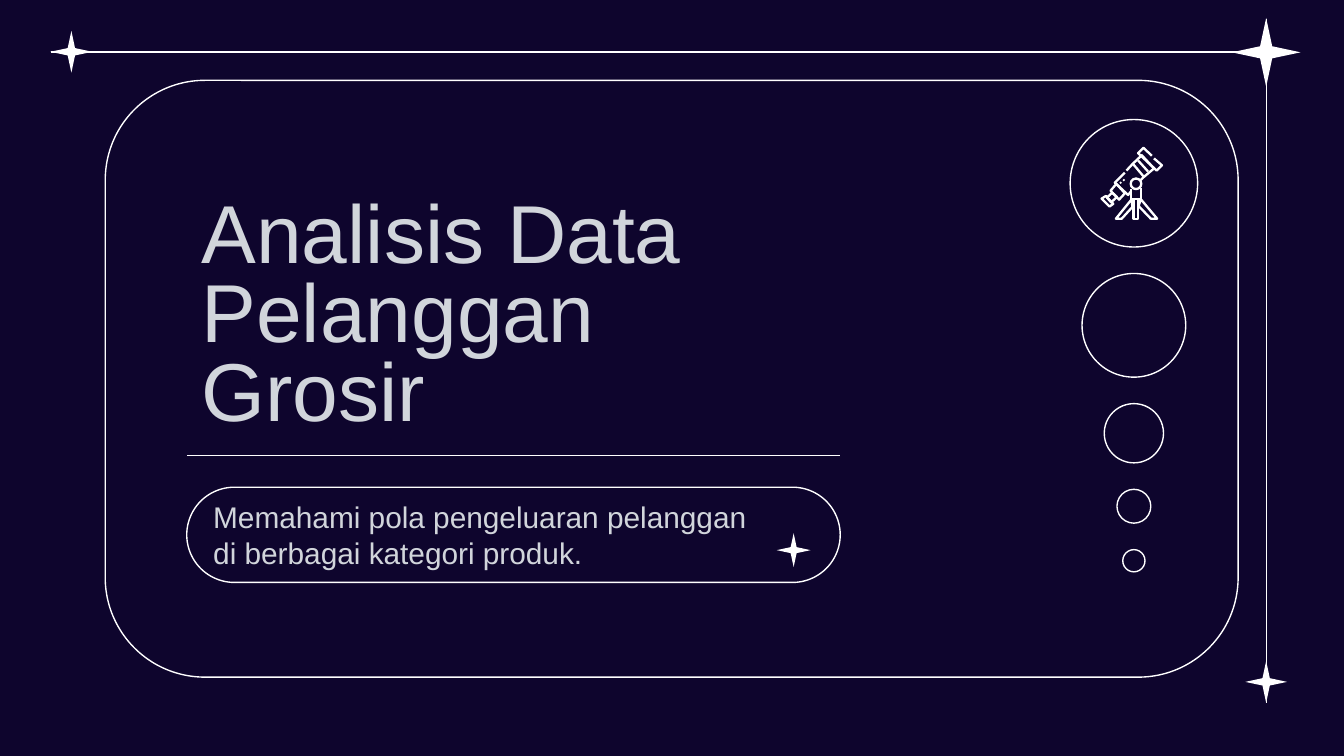
import lxml.etree
import pptx
import pptx.dml.color
import pptx.enum.shapes
import pptx.enum.text
import pptx.oxml.ns
import pptx.util

Cm = pptx.util.Cm
Pt = pptx.util.Pt
SHAPE = pptx.enum.shapes.MSO_SHAPE
ANCHOR = pptx.enum.text.MSO_ANCHOR

THEME = {
    "background": "0E052D", "line": "FFFFFF", "text": "D1D5DB",
    "font": "Arial", "title_size": 44, "subtitle_size": 16,
    "line_width": 0.75, "icon_width": 1.25,
}

# Content (all lengths in centimetres)
TITLE = "Analisis Data Pelanggan Grosir"
TITLE_BOX = (3.56, 3.53, 10.92, 5.05)
SUBTITLE = "Memahami pola pengeluaran pelanggan di berbagai kategori produk."
SUBTITLE_BOX = (3.78, 9.21, 10.92, 1.8)

# Rounded boxes: left, top, width, height, corner
ROUNDED_BOXES = [(1.99, 1.52, 21.41, 11.28, 0.167), (3.53, 9.21, 12.35, 1.8, 0.5)]
# Lines: start x, start y, end x, end y
LINES = [
    (0.97, 0.98, 23.88, 0.98),
    (23.93, 0.36, 23.93, 13.28),
    (3.53, 8.61, 15.88, 8.61),
]
# Stars: centre x, centre y, size
STARS = [(1.35, 0.98, 0.79), (23.93, 0.99, 1.3), (23.93, 12.89, 0.79), (15.0, 10.4, 0.64)]

# Column of shrinking circles
CIRCLE_CENTRE = 21.43
CIRCLE_TOP = 2.26
CIRCLE_GAP = 0.5
CIRCLE_SIZES = [2.41, 1.96, 1.12, 0.64, 0.42]

# Telescope, in hundredths of a centimetre from the centre of the first circle
TELESCOPE_CLOSED = [
    [(15, -53), (38, -28), (19, -12), (-2, -37)],      # front tube
    [(-33, 1), (-17, 19), (-28, 31), (-44, 14)],       # collar
    [(-41, 18), (-32, 26), (-43, 36), (-51, 27)],      # focuser
    [(-53, 24), (-39, 39), (-46, 44), (-61, 29)],      # eyepiece
    [(-4, 30), (-34, 67), (-23, 67), (-3, 45)],        # left leg
    [(-1, 30), (8, 30), (8, 67), (-1, 67)],            # middle leg
    [(13, 30), (44, 67), (32, 67), (9, 43)],           # right leg
]
TELESCOPE_OPEN = [
    [(38, -47), (53, -34), (43, -24), (8, -57), (18, -67), (34, -52)],  # front ring
    [(8, -43), (27, -22)],                             # tube band
    [(-2, -37), (-14, -24)],                           # upper edge
    [(-17, -20), (-36, -1), (-11, 22), (-5, 15)],      # rear tube
    [(19, -12), (13, -6)],                             # lower edge
    [(-5, 11), (-5, 30), (13, 30), (13, 9)],           # post
]
PIVOT = (0.04, 0.01, 0.2)
SCREWS = [(-0.19, -0.06, 0.05), (-0.25, -0.01, 0.05)]


def color(name):
    return pptx.dml.color.RGBColor.from_string(THEME[name])


def style_line(line, width="line_width"):
    line.color.rgb = color("line")
    line.width = Pt(THEME[width])


def style_outline(shape, width="line_width"):
    shape.shadow.inherit = False
    shape.fill.background()
    style_line(shape.line, width)


def style_solid(shape):
    shape.shadow.inherit = False
    shape.fill.solid()
    shape.fill.fore_color.rgb = color("line")
    shape.line.fill.background()


def add_centred(slide, kind, x, y, size):
    return slide.shapes.add_shape(
        kind, Cm(x - size / 2), Cm(y - size / 2), Cm(size), Cm(size))


def add_line(slide, x1, y1, x2, y2):
    connector = slide.shapes.add_connector(
        pptx.enum.shapes.MSO_CONNECTOR.STRAIGHT, Cm(x1), Cm(y1), Cm(x2), Cm(y2))
    style_line(connector.line)
    properties = connector.element.find(pptx.oxml.ns.qn("p:spPr"))
    lxml.etree.SubElement(properties, pptx.oxml.ns.qn("a:effectLst"))


def write_text(shape, text, size, spacing, anchor, top=0.25, bottom=0.25):
    frame = shape.text_frame
    frame.word_wrap = True
    frame.auto_size = pptx.enum.text.MSO_AUTO_SIZE.NONE
    frame.vertical_anchor = anchor
    frame.margin_left = frame.margin_right = Cm(0.25)
    frame.margin_top, frame.margin_bottom = Cm(top), Cm(bottom)
    paragraph = frame.paragraphs[0]
    paragraph.alignment = pptx.enum.text.PP_ALIGN.LEFT
    paragraph.line_spacing = spacing
    paragraph.space_before = Pt(0)
    run = paragraph.add_run()
    run.text = text
    run.font.name = THEME["font"]
    run.font.size = Pt(THEME[size])
    run.font.color.rgb = color("text")


def add_telescope(slide, x, y):
    contours = [(points, True) for points in TELESCOPE_CLOSED]
    contours += [(points, False) for points in TELESCOPE_OPEN]
    builder = slide.shapes.build_freeform(*contours[0][0][0], scale=Cm(0.01))
    for index, (points, closed) in enumerate(contours):
        if index:
            builder.move_to(*points[0])
        builder.add_line_segments(points[1:], close=closed)
    style_outline(builder.convert_to_shape(Cm(x), Cm(y)), "icon_width")
    dx, dy, size = PIVOT
    style_outline(add_centred(slide, SHAPE.OVAL, x + dx, y + dy, size), "icon_width")
    for dx, dy, size in SCREWS:
        style_solid(add_centred(slide, SHAPE.DIAMOND, x + dx, y + dy, size))


def main():
    presentation = pptx.Presentation()
    presentation.slide_width, presentation.slide_height = Cm(25.4), Cm(14.29)
    slide = presentation.slides.add_slide(presentation.slide_layouts[5])
    slide.background.fill.solid()
    slide.background.fill.fore_color.rgb = color("background")

    # Frame, capsule and rules
    for *box, corner in ROUNDED_BOXES:
        shape = slide.shapes.add_shape(SHAPE.ROUNDED_RECTANGLE, *map(Cm, box))
        shape.adjustments[0] = corner
        style_outline(shape)
    for line in LINES:
        add_line(slide, *line)

    # Title and subtitle, the latter centred in the capsule
    title = slide.shapes.title
    title.left, title.top, title.width, title.height = map(Cm, TITLE_BOX)
    write_text(title, TITLE, "title_size", 0.8, ANCHOR.BOTTOM, bottom=0.32)
    subtitle = slide.shapes.add_textbox(*map(Cm, SUBTITLE_BOX))
    write_text(subtitle, SUBTITLE, "subtitle_size", 1.0, ANCHOR.MIDDLE, top=0, bottom=0)

    # Stars
    for star in STARS:
        shape = add_centred(slide, SHAPE.STAR_4_POINT, *star)
        shape.adjustments[0] = 0.125
        style_solid(shape)

    # Circles, with the telescope in the first
    top = CIRCLE_TOP
    for size in CIRCLE_SIZES:
        style_outline(add_centred(slide, SHAPE.OVAL, CIRCLE_CENTRE, top + size / 2, size))
        top += size + CIRCLE_GAP
    add_telescope(slide, CIRCLE_CENTRE, CIRCLE_TOP + CIRCLE_SIZES[0] / 2)

    presentation.save("out.pptx")


if __name__ == "__main__":
    main()
